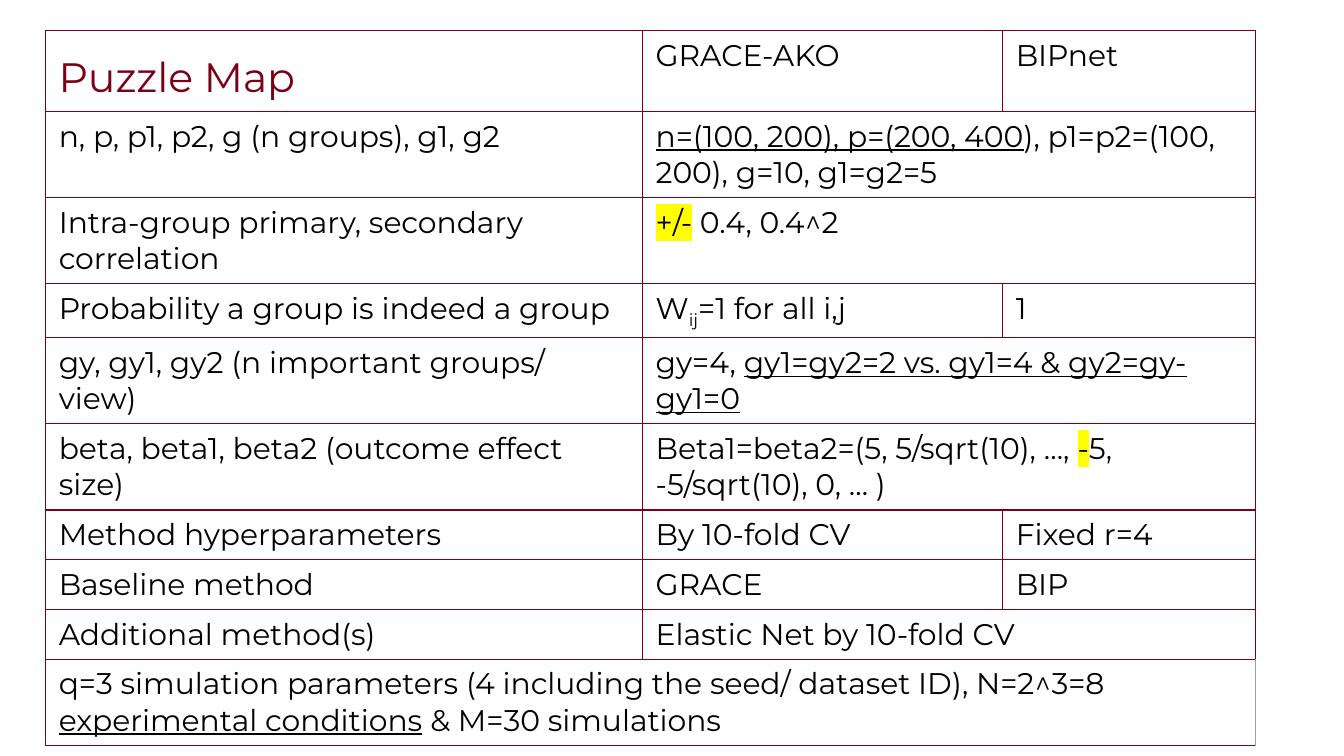
from lxml import etree
from pptx import Presentation
from pptx.dml.color import RGBColor
from pptx.enum.text import MSO_ANCHOR
from pptx.oxml.ns import qn
from pptx.util import Pt

TOP = MSO_ANCHOR.TOP
FONT = "Montserrat"
MAROON, BLACK, GREY, YELLOW = "7A0019", "000000", "9E9E9E", "FFFF00"
COLUMN_WIDTHS = (319.8, 192.9, 135.6)
HEADER, ONE_LINE, SUBSCRIPT_LINE, TWO_LINES = 43.4, 26.7, 28.9, 46.1
CELL_FORMAT = {
    "margin_left": Pt(7.2),
    "margin_right": Pt(7.2),
    "margin_top": Pt(3.6),
    "margin_bottom": Pt(3.6),
    "vertical_anchor": TOP,
}
TITLE_FORMAT = {
    "margin_left": Pt(7.2),
    "margin_right": Pt(7.2),
    "margin_top": Pt(7.2),
    "margin_bottom": Pt(7.2),
    "vertical_anchor": TOP,
    "word_wrap": True,
}
PLAIN, UNDERLINE, HIGHLIGHT, SUBSCRIPT = "plain", "underline", "highlight", "subscript"

ROWS = [
    (HEADER, ["", "GRACE-AKO", "BIPnet"]),
    (TWO_LINES, ["n, p, p1, p2, g (n groups), g1, g2",
                 [("n=(100, 200), p=(200, 400", UNDERLINE),
                  ("), p1=p2=(100, 200), g=10, g1=g2=5", PLAIN)]]),
    (TWO_LINES, ["Intra-group primary, secondary correlation",
                 [("+/-", HIGHLIGHT), (" 0.4, 0.4^2", PLAIN)]]),
    (SUBSCRIPT_LINE, ["Probability a group is indeed a group",
                      [("W", PLAIN), ("ij", SUBSCRIPT), ("=1 for all i,j", PLAIN)],
                      "1"]),
    (TWO_LINES, ["gy, gy1, gy2 (n important groups/ view)",
                 [("gy=4, ", PLAIN),
                  ("gy1=gy2=2 vs. gy1=4 & gy2=gy-gy1=0", UNDERLINE)]]),
    (TWO_LINES, ["beta, beta1, beta2 (outcome effect size)",
                 [("Beta1=beta2=(5, 5/sqrt(10), …, ", PLAIN), ("-", HIGHLIGHT),
                  ("5, -5/sqrt(10), 0, … )", PLAIN)]]),
    (ONE_LINE, ["Method hyperparameters", "By 10-fold CV", "Fixed r=4"]),
    (ONE_LINE, ["Baseline method", "GRACE", "BIP"]),
    (ONE_LINE, ["Additional method(s)", "Elastic Net by 10-fold CV"]),
    (TWO_LINES, [[("q=3 simulation parameters (4 including the seed/ dataset ID), N=2^3=8 ", PLAIN),
                  ("experimental conditions", UNDERLINE),
                  (" & M=30 simulations", PLAIN)]]),
]


def color(value):
    return RGBColor.from_string(value)


def apply_format(target, values):
    for attribute, value in values.items():
        setattr(target, attribute, value)


def add_solid_fill(parent, value):
    fill = etree.SubElement(parent, qn("a:solidFill"))
    etree.SubElement(fill, qn("a:srgbClr"), val=value)


def add_run(paragraph, text, style, size, text_color):
    run = paragraph.add_run()
    run.text = text
    apply_format(run.font, {"name": FONT, "size": Pt(size), "underline": style == UNDERLINE})
    run.font.color.rgb = color(text_color)
    properties = run.font._element
    if style == SUBSCRIPT:
        properties.set("baseline", "-25000")
    if style == HIGHLIGHT:
        highlight = etree.Element(qn("a:highlight"))
        etree.SubElement(highlight, qn("a:srgbClr"), val=YELLOW)
        properties.find(qn("a:solidFill")).addnext(highlight)


def set_borders(cell, right_color):
    properties = cell._tc.get_or_add_tcPr()
    sides = {"a:lnL": MAROON, "a:lnR": right_color, "a:lnT": MAROON, "a:lnB": MAROON}
    for position, (side, line_color) in enumerate(sides.items()):
        border = etree.Element(qn(side), w=str(Pt(0.75)))
        add_solid_fill(border, line_color)
        properties.insert(position, border)


def fill_cell(cell, content):
    runs = [(content, PLAIN)] if isinstance(content, str) else content
    for text, style in runs:
        if text:
            add_run(cell.text_frame.paragraphs[0], text, style, 16, BLACK)


def add_parameter_table(slide):
    heights = [height for height, _ in ROWS]
    table = slide.shapes.add_table(
        len(ROWS), len(COLUMN_WIDTHS), Pt(24.3), Pt(16.3),
        Pt(sum(COLUMN_WIDTHS)), Pt(sum(heights))).table
    apply_format(table, {"first_row": False, "horz_banding": False})
    for column, width in zip(table.columns, COLUMN_WIDTHS):
        column.width = Pt(width)
    last_column = len(COLUMN_WIDTHS) - 1
    for row_index, (height, contents) in enumerate(ROWS):
        table.rows[row_index].height = Pt(height)
        right_color = GREY if row_index == len(ROWS) - 1 else MAROON
        for cell in table.rows[row_index].cells:
            apply_format(cell, CELL_FORMAT)
            cell.fill.background()
            set_borders(cell, right_color)
        last_content = len(contents) - 1
        if last_content < last_column:
            table.cell(row_index, last_content).merge(table.cell(row_index, last_column))
        for column_index, content in enumerate(contents):
            fill_cell(table.cell(row_index, column_index), content)


def add_title(slide):
    title = slide.shapes.add_textbox(Pt(24.3), Pt(20.2), Pt(373), Pt(38.2))
    apply_format(title.text_frame, TITLE_FORMAT)
    add_run(title.text_frame.paragraphs[0], "Puzzle Map", PLAIN, 22, MAROON)


def main():
    presentation = Presentation()
    apply_format(presentation, {"slide_width": Pt(720), "slide_height": Pt(405)})
    slide = presentation.slides.add_slide(presentation.slide_layouts[6])
    add_parameter_table(slide)
    add_title(slide)
    presentation.save("out.pptx")


if __name__ == "__main__":
    main()
